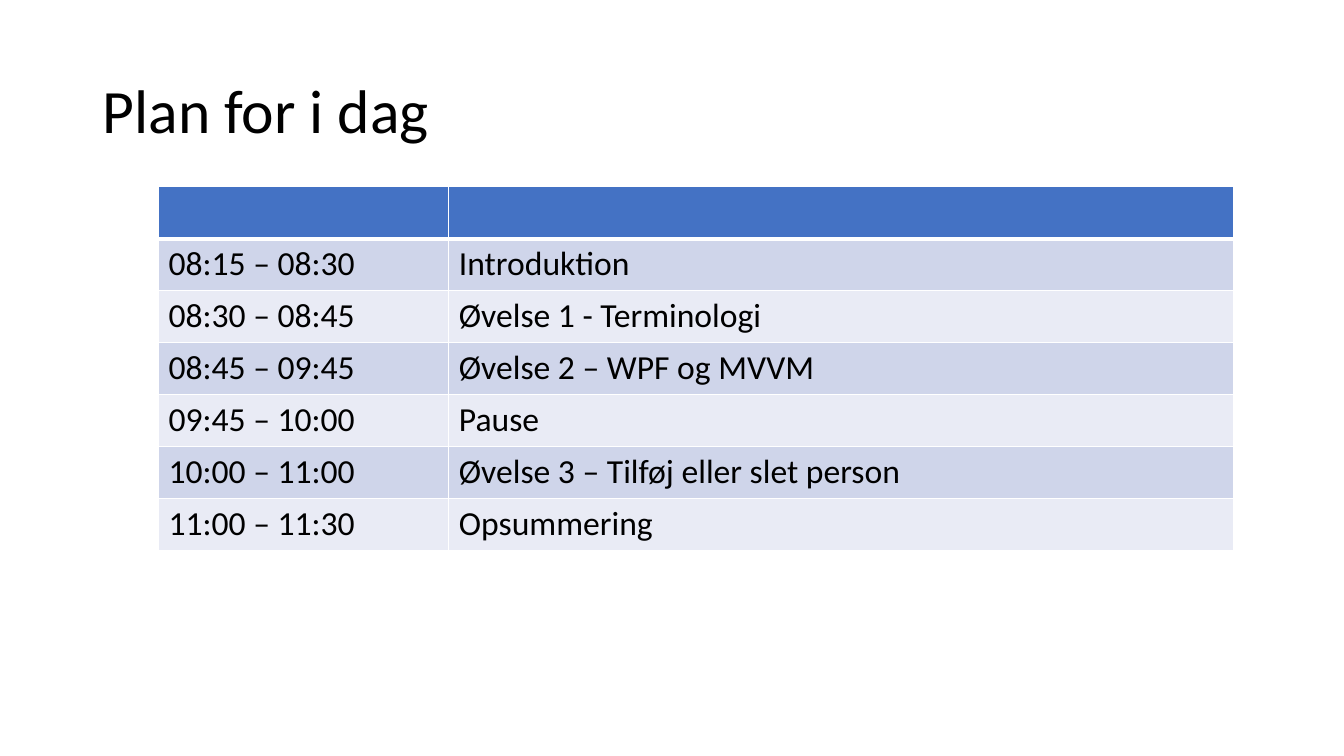
from dataclasses import dataclass

from lxml.etree import SubElement as add_element
from pptx import Presentation
from pptx.dml.color import RGBColor
from pptx.enum.text import MSO_ANCHOR as Anchor
from pptx.oxml.ns import qn
from pptx.util import Inches, Pt


@dataclass(frozen=True)
class Theme:
    font: str = "Calibri"
    text: str = "000000"
    header: str = "4472C4"
    bands: tuple = ("CFD5EA", "E9EBF5")
    border: str = "FFFFFF"
    title_size: int = 44
    cell_size: int = 24
    thin: int = 1
    thick: int = 3


THEME = Theme()
WIDTH, HEIGHT = Inches(13.33), Inches(7.5)
TITLE_AREA = (0.069, 0.053, 0.863, 0.193)
TABLE_AREA = (0.118, 0.247, 0.8, 0.481)
COLUMN_SHARES = (0.27, 0.73)
SCHEDULE = [
    ("", ""),
    ("08:15 – 08:30", "Introduktion"),
    ("08:30 – 08:45", "Øvelse 1 - Terminologi"),
    ("08:45 – 09:45", "Øvelse 2 – WPF og MVVM"),
    ("09:45 – 10:00", "Pause"),
    ("10:00 – 11:00", "Øvelse 3 – Tilføj eller slet person"),
    ("11:00 – 11:30", "Opsummering"),
]


def place(area):
    return [int(share * side) for share, side in zip(area, (WIDTH, HEIGHT) * 2)]


def apply_format(target, values):
    for name, value in values.items():
        setattr(target, name, value)


def write_text(para, text, size):
    span = para.add_run()
    span.text = text
    apply_format(span.font, {"name": THEME.font, "size": Pt(size)})
    span.font.color.rgb = RGBColor.from_string(THEME.text)


def add_title(page, text):
    box = page.shapes.add_textbox(*place(TITLE_AREA))
    apply_format(box.text_frame, {"word_wrap": True, "vertical_anchor": Anchor.MIDDLE})
    para = box.text_frame.paragraphs[0]
    para.line_spacing = 0.9
    write_text(para, text, THEME.title_size)


def set_borders(cell, widths):
    properties = cell._tc.get_or_add_tcPr()
    for side, width in widths.items():
        line = add_element(properties, qn(f"a:ln{side}"), w=str(Pt(width)))
        fill = add_element(line, qn("a:solidFill"))
        add_element(fill, qn("a:srgbClr"), val=THEME.border)


def style_cell(cell, row):
    widths = dict.fromkeys("LRTB", THEME.thin)
    if row == 0:
        widths["B"] = THEME.thick
    elif row == 1:
        widths["T"] = THEME.thick
    set_borders(cell, widths)
    color = THEME.bands[(row - 1) % 2] if row else THEME.header
    cell.fill.solid()
    cell.fill.fore_color.rgb = RGBColor.from_string(color)


def add_schedule(page, entries):
    left, top, width, height = place(TABLE_AREA)
    table = page.shapes.add_table(
        len(entries), len(COLUMN_SHARES), left, top, width, height
    ).table
    for column, share in zip(table.columns, COLUMN_SHARES):
        column.width = int(width * share)
    for row, entry in enumerate(entries):
        table.rows[row].height = height // len(entries)
        for column, text in enumerate(entry):
            cell = table.cell(row, column)
            style_cell(cell, row)
            if text:
                write_text(cell.text_frame.paragraphs[0], text, THEME.cell_size)


def main():
    deck = Presentation()
    apply_format(deck, {"slide_width": WIDTH, "slide_height": HEIGHT})
    page = deck.slides.add_slide(deck.slide_layouts[6])
    add_title(page, "Plan for i dag")
    add_schedule(page, SCHEDULE)
    deck.save("out.pptx")


if __name__ == "__main__":
    main()
